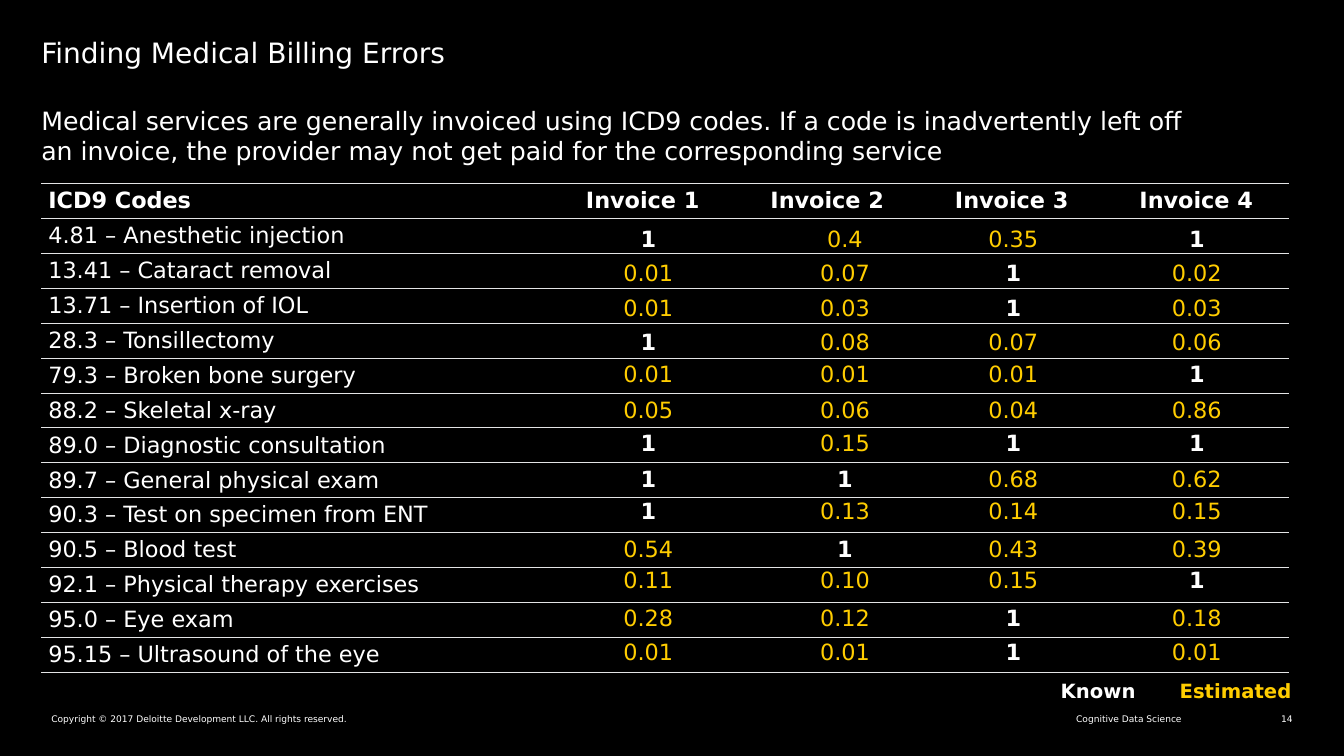
from lxml import etree
from pptx import Presentation
from pptx.dml.color import RGBColor
from pptx.enum.text import MSO_ANCHOR, PP_ALIGN
from pptx.oxml.ns import qn
from pptx.util import Inches, Pt

LEFT, CENTER, RIGHT = PP_ALIGN.LEFT, PP_ALIGN.CENTER, PP_ALIGN.RIGHT
TOP, MIDDLE = MSO_ANCHOR.TOP, MSO_ANCHOR.MIDDLE
BLACK = RGBColor(0x00, 0x00, 0x00)
WHITE = RGBColor(0xFF, 0xFF, 0xFF)
YELLOW = RGBColor(0xFF, 0xCD, 0x00)
RULE_GRAY = RGBColor(0xE3, 0xE4, 0xE5)
FONT = "DejaVu Sans"
BODY_SIZE = 16

INVOICES = ["Invoice 1", "Invoice 2", "Invoice 3", "Invoice 4"]
SERVICES = [
    ("4.81 – Anesthetic injection", "1 0.4 0.35 1"),
    ("13.41 – Cataract removal", "0.01 0.07 1 0.02"),
    ("13.71 – Insertion of IOL", "0.01 0.03 1 0.03"),
    ("28.3 – Tonsillectomy", "1 0.08 0.07 0.06"),
    ("79.3 – Broken bone surgery", "0.01 0.01 0.01 1"),
    ("88.2 – Skeletal x-ray", "0.05 0.06 0.04 0.86"),
    ("89.0 – Diagnostic consultation", "1 0.15 1 1"),
    ("89.7 – General physical exam", "1 1 0.68 0.62"),
    ("90.3 – Test on specimen from ENT", "1 0.13 0.14 0.15"),
    ("90.5 – Blood test", "0.54 1 0.43 0.39"),
    ("92.1 – Physical therapy exercises", "0.11 0.10 0.15 1"),
    ("95.0 – Eye exam", "0.28 0.12 1 0.18"),
    ("95.15 – Ultrasound of the eye", "0.01 0.01 1 0.01"),
]
VALUE_LEFTS = [5.66, 7.61, 9.28, 11.1]
VALUE_TOPS = [0.34, 0.68, 1.03, 1.37, 1.68, 2.04, 2.37,
              2.72, 3.04, 3.42, 3.73, 4.1, 4.44]


def style_paragraph(para, text, size, color=WHITE, bold=False, align=LEFT):
    """Write text into a paragraph and set its font."""
    para.text = text
    para.alignment = align
    font = para.font
    font.name, font.size, font.bold = FONT, Pt(size), bold
    font.color.rgb = color


def add_text(page, box, text, size, color=WHITE, bold=False, align=LEFT, anchor=TOP):
    """Add a wrapped text box without margins and return its paragraph."""
    frame = page.shapes.add_textbox(*map(Inches, box)).text_frame
    frame.word_wrap = True
    frame.vertical_anchor = anchor
    frame.margin_left = frame.margin_right = frame.margin_top = frame.margin_bottom = 0
    para = frame.paragraphs[0]
    style_paragraph(para, text, size, color, bold, align)
    return para


def add_heading(page, box):
    """Place the title and the introduction below it."""
    left, top, width, height = box
    add_text(page, (left, top, 9.18, 0.6), "Finding Medical Billing Errors", 20)
    add_text(page, (left, top + 0.69, width, height - 0.69),
             "Medical services are generally invoiced using ICD9 codes. If a code is "
             "inadvertently left off an invoice, the provider may not get paid for "
             "the corresponding service", 18)


def set_borders(cell):
    """Draw rules above and below a cell and none at its sides."""
    properties = cell._tc.get_or_add_tcPr()
    for side in ("a:lnL", "a:lnR"):
        line = etree.SubElement(properties, qn(side), w="0")
        etree.SubElement(line, qn("a:noFill"))
    for side in ("a:lnT", "a:lnB"):
        line = etree.SubElement(properties, qn(side), w=str(Pt(0.75)))
        fill = etree.SubElement(line, qn("a:solidFill"))
        etree.SubElement(fill, qn("a:srgbClr"), val=str(RULE_GRAY))


def style_cell(cell, text, bold, align):
    """Give a table cell its text, margins, rules and empty fill."""
    cell.margin_left = cell.margin_right = Inches(0.07)
    cell.margin_top = cell.margin_bottom = Inches(0.04)
    cell.vertical_anchor = MIDDLE
    set_borders(cell)
    cell.fill.background()
    para = cell.text_frame.paragraphs[0]
    if text:
        style_paragraph(para, text, BODY_SIZE, WHITE, bold, align)
    else:
        etree.SubElement(para._p, qn("a:endParaRPr"), sz=str(BODY_SIZE * 100))


def add_code_table(page, box):
    """Place the ruled table of codes and invoice headings."""
    rows = [["ICD9 Codes", *INVOICES]]
    rows += [[service] + [""] * len(INVOICES) for service, _ in SERVICES]
    table = page.shapes.add_table(len(rows), len(rows[0]), *map(Inches, box)).table
    table.first_row = table.horz_banding = False
    for index, column in enumerate(table.columns):
        column.width = Inches(1.83 if index else 5.05)
    for row_index, row in enumerate(rows):
        for column_index, text in enumerate(row):
            style_cell(table.cell(row_index, column_index), text,
                       row_index == 0, CENTER if column_index else LEFT)


def add_values(page, box):
    """Place known and estimated values over the table in the box."""
    left, top, _, _ = box
    for (_, values), value_top in zip(SERVICES, VALUE_TOPS):
        for value, value_left in zip(values.split(), VALUE_LEFTS):
            known = value == "1"
            para = add_text(page, (left + value_left, top + value_top, 0.72, 0.39),
                            value, BODY_SIZE, WHITE if known else YELLOW,
                            known, CENTER, MIDDLE)
            para.line_spacing = 1.06


def add_legend(page, box):
    """Place the two legend words side by side."""
    left, top, width, height = box
    half = width / 2
    for index, (word, color) in enumerate([("Known", WHITE), ("Estimated", YELLOW)]):
        add_text(page, (left + index * half, top, half, height), word, 14, color, True)


def add_footer(page, box):
    """Place the copyright line, section name and page number."""
    left, top, width, height = box
    add_text(page, (left, top, 5.86, height),
             "Copyright © 2017 Deloitte Development LLC. All rights reserved.", 6.5)
    add_text(page, (left + 5.86, top, 5.35, height), "Cognitive Data Science",
             6.5, align=RIGHT)
    add_text(page, (left + width - 0.34, top, 0.34, height), "14", 6.5, align=RIGHT)


def main():
    """Build the slide and save the deck."""
    deck = Presentation()
    deck.slide_width, deck.slide_height = Inches(13.33), Inches(7.5)
    page = deck.slides.add_slide(deck.slide_layouts[6])
    page.background.fill.solid()
    page.background.fill.fore_color.rgb = BLACK
    table_box = (0.41, 1.82, 12.38, 4.78)
    add_footer(page, (0.51, 7.08, 12.31, 0.11))
    add_heading(page, (0.41, 0.35, 11.41, 1.31))
    add_code_table(page, table_box)
    add_values(page, table_box)
    add_legend(page, (10.52, 6.74, 2.36, 0.24))
    deck.save("out.pptx")


if __name__ == "__main__":
    main()
